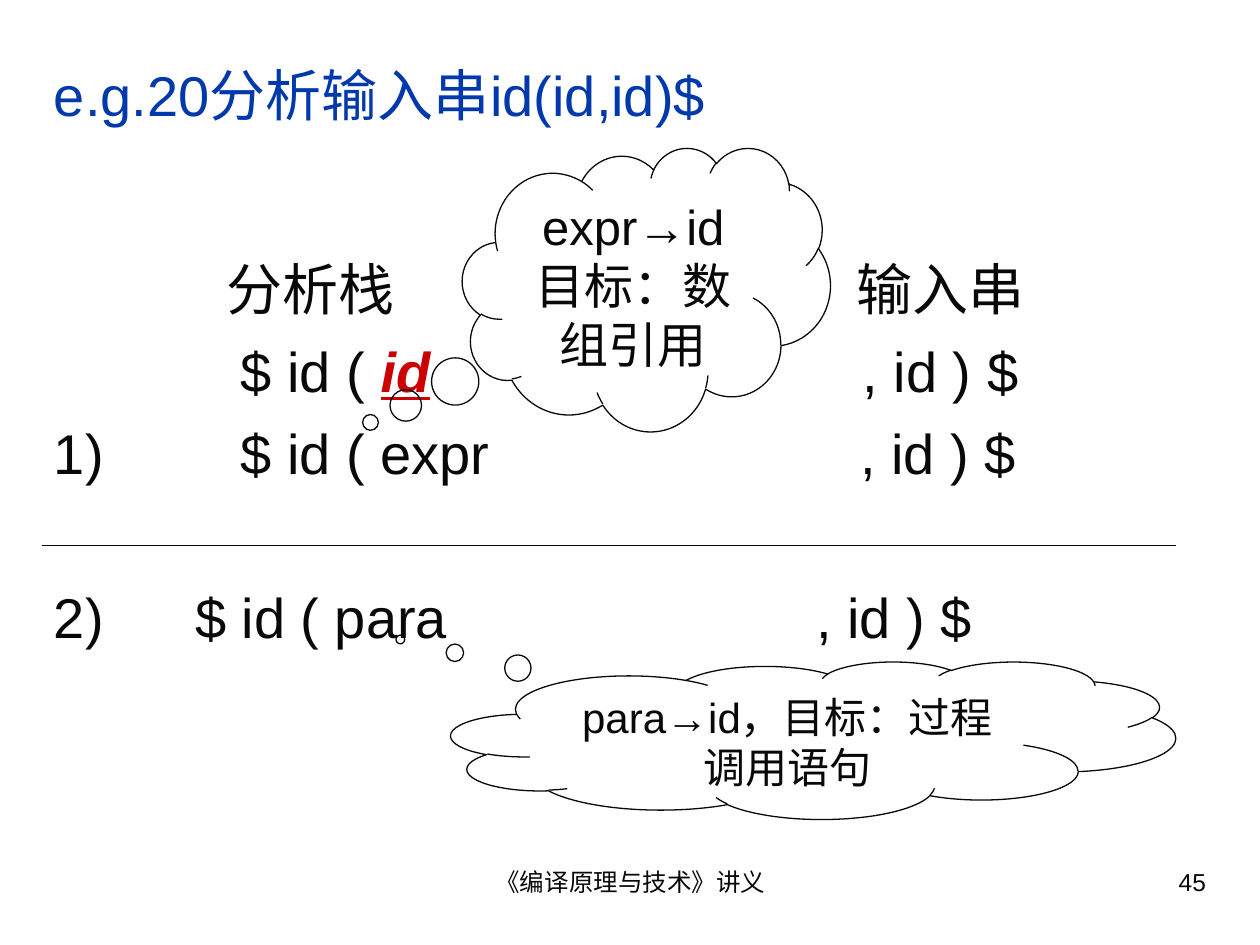
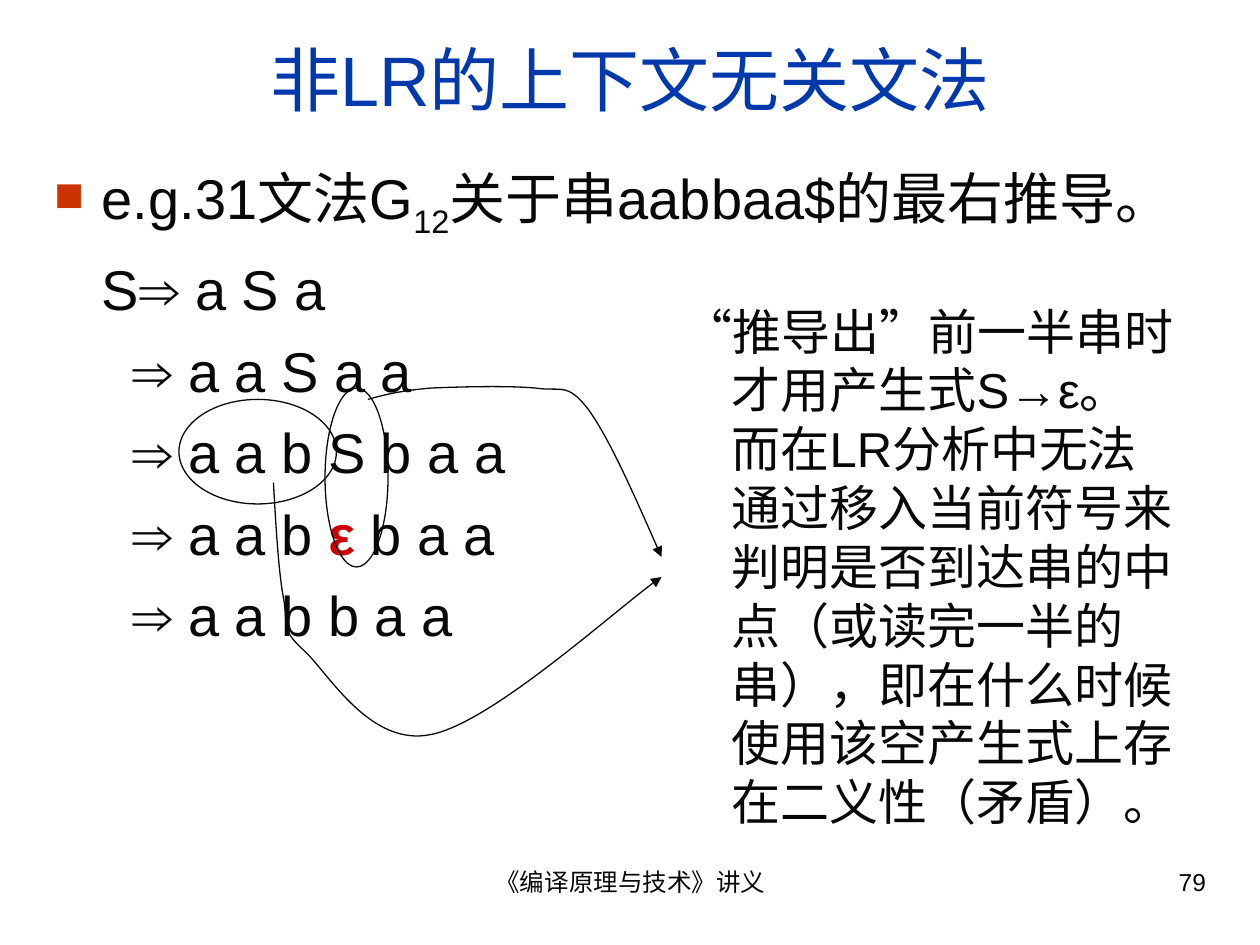
from lxml.etree import SubElement
from pptx import Presentation
from pptx.dml.color import RGBColor
from pptx.enum.shapes import MSO_CONNECTOR, MSO_SHAPE
from pptx.enum.text import MSO_ANCHOR, PP_ALIGN
from pptx.oxml.ns import qn
from pptx.util import Inches, Pt

COLORS = {"title": "0039AC", "ink": "080808", "accent": "CC0000", "bullet": "CC3300"}
FONT = "Arial"
FOOTER = "《编译原理与技术》讲义"
BODY_SIZE, NOTE_SIZE = 32, 28
LINE_PITCH = 38.6
STACK_TOP, ROW_PITCH = 1.97, 0.65

EXAMPLE_TITLE = "e.g.20分析输入串id(id,id)$"
ID = ("id", {"color": "accent", "bold": True, "italic": True, "underline": True})
STACK_ROWS = [
    (0, [(1.7, ["分析栈"]), (6.7, ["输入串"])]),
    (1, [(1.81, ["$ id ( ", ID]), (6.75, [", id ) $"])]),
    (2, [(0.33, ["1)"]), (1.81, ["$ id ( expr"]), (6.73, [", id ) $"])]),
    (4, [(0.33, ["2)"]), (1.45, ["$ id ( para"]), (6.38, [", id ) $"])]),
]
CLOUDS = [
    (["para→id，目标：过程调用语句"], 24, (3.58, 5.25, 5.75, 1.25), (-0.57, -0.64)),
    (["expr→id", "目标：数组引用"], 28, (3.67, 1.17, 2.92, 2.25), (-0.75, 0.47)),
]

GRAMMAR_TITLE = "非LR的上下文无关文法"
GRAMMAR = ["e.g.31文法G", ("12", {"subscript": True}), "关于串aabbaa$的最右推导。"]
EPSILON = ("ε", {"color": "accent", "bold": True})
DERIVATION = [
    (["S⇒ a S a"], 0.38),
    (["⇒ a a S a a"], 0.62),
    (["⇒ a a b S b a a"], 0.62),
    (["⇒ a a b ", EPSILON, " b a a"], 0.62),
    (["⇒ a a b b a a"], 0.62),
]
REMARK = ("“推导出”前一半串时才用产生式S→ε。而在LR分析中无法通过移入当前符号来判明是否到达串的中点"
          "（或读完一半的串），即在什么时候使用该空产生式上存在二义性（矛盾）。")
RINGS = [(2.58, 3.08, 0.5, 1.42), (1.42, 3.17, 1.25, 0.83)]
ARROWS = [
    [(2.17, 3.83), (2.19, 4.18), (2.21, 4.53), (2.25, 4.75), (2.29, 4.97), (2.22, 4.99),
     (2.42, 5.17), (2.61, 5.35), (2.94, 5.93), (3.42, 5.83), (3.89, 5.74), (4.94, 4.79),
     (5.25, 4.58)],
    [(2.92, 3.17), (3.06, 3.13), (3.19, 3.1), (3.42, 3.08), (3.64, 3.07), (4.04, 3.06),
     (4.25, 3.08), (4.46, 3.11), (4.5, 3.03), (4.67, 3.25), (4.83, 3.47), (5.04, 3.94),
     (5.25, 4.42)],
]


def color(key):
    return RGBColor.from_string(COLORS[key])


def add_runs(paragraph, parts, size, base="ink"):
    for part in parts:
        words, style = part if isinstance(part, tuple) else (part, {})
        run = paragraph.add_run()
        run.text = words
        font = run.font
        font.name, font.size = FONT, Pt(size)
        font.color.rgb = color(style.get("color", base))
        font.bold = style.get("bold", False)
        font.italic = style.get("italic", False)
        font.underline = style.get("underline", False)
        if style.get("subscript"):
            run._r.get_or_add_rPr().set("baseline", "-25000")


def set_layout(paragraph, margin=0, indent=0, bullet=None):
    props = paragraph._p.get_or_add_pPr()
    props.set("marL", str(Inches(margin)))
    props.set("indent", str(Inches(indent)))
    if bullet:
        SubElement(SubElement(props, qn("a:buClr")), qn("a:srgbClr"), val=COLORS["bullet"])
        SubElement(props, qn("a:buSzPct"), val="73000")
        SubElement(props, qn("a:buChar"), char=bullet)


def add_box(slide, box, anchor=MSO_ANCHOR.TOP):
    frame = slide.shapes.add_textbox(*map(Inches, box)).text_frame
    frame.word_wrap = True
    frame.vertical_anchor = anchor
    return frame


def add_line_of_text(slide, parts, box, size, base="ink", align=PP_ALIGN.LEFT,
                     anchor=MSO_ANCHOR.TOP):
    paragraph = add_box(slide, box, anchor).paragraphs[0]
    paragraph.alignment = align
    add_runs(paragraph, parts, size, base)
    return paragraph


def new_slide(deck, title, title_box, title_size, title_align, number):
    slide = deck.slides.add_slide(deck.slide_layouts[6])
    add_line_of_text(slide, [FOOTER], (3.42, 6.83, 3.17, 0.52), 14, align=PP_ALIGN.CENTER)
    add_line_of_text(slide, [number], (7.17, 6.83, 2.5, 0.52), 14, align=PP_ALIGN.RIGHT)
    add_line_of_text(slide, [title], title_box, title_size, "title", title_align,
                     MSO_ANCHOR.MIDDLE)
    return slide


def outline(shape):
    shape.shadow.inherit = False
    shape.fill.background()
    shape.line.color.rgb = color("ink")
    shape.line.width = Pt(0.75)


def add_cloud(slide, lines, size, box, tip):
    cloud = slide.shapes.add_shape(MSO_SHAPE.CLOUD_CALLOUT, *map(Inches, box))
    outline(cloud)
    cloud.adjustments[0], cloud.adjustments[1] = tip
    frame = cloud.text_frame
    frame.word_wrap = True
    frame.vertical_anchor = MSO_ANCHOR.TOP
    paragraph = frame.paragraphs[0]
    paragraph.alignment = PP_ALIGN.CENTER
    for index, words in enumerate(lines):
        if index:
            paragraph.add_line_break()
        add_runs(paragraph, [words], size)


def add_curved_arrow(slide, knots):
    start, *others = [tuple(map(Inches, knot)) for knot in knots]
    builder = slide.shapes.build_freeform(*start)
    builder.add_line_segments(others, close=False)
    arrow = builder.convert_to_shape()
    outline(arrow)
    SubElement(arrow.line._get_or_add_ln(), qn("a:tailEnd"), type="triangle")
    segments = list(arrow._element.iter(qn("a:lnTo")))
    route = segments[0].getparent()
    for first in range(0, len(segments), 3):
        curve = SubElement(route, qn("a:cubicBezTo"))
        for segment in segments[first:first + 3]:
            curve.append(segment[0])
            route.remove(segment)


def build_example(deck):
    slide = new_slide(deck, EXAMPLE_TITLE, (0.33, 0.41, 9.34, 0.67), 32, PP_ALIGN.LEFT, "45")
    for row, cells in STACK_ROWS:
        for left, parts in cells:
            cell = add_line_of_text(
                slide, parts, (left, STACK_TOP + row * ROW_PITCH, 2.9, ROW_PITCH), BODY_SIZE)
            cell.line_spacing = Pt(LINE_PITCH)
    divider = slide.shapes.add_connector(
        MSO_CONNECTOR.STRAIGHT, *map(Inches, (0.33, 4.33, 9.33, 4.33)))
    divider.line.color.rgb = color("ink")
    divider.line.width = Pt(0.75)
    SubElement(divider._element.spPr, qn("a:effectLst"))
    for cloud in CLOUDS:
        add_cloud(slide, *cloud)


def build_grammar(deck):
    slide = new_slide(deck, GRAMMAR_TITLE, (0.33, 0.25, 9.34, 0.75), 40, PP_ALIGN.CENTER, "79")
    frame = add_box(slide, (0.33, 1.25, 9, 5.42))
    grammar = frame.paragraphs[0]
    set_layout(grammar, 0.38, -0.38, bullet="■")
    add_runs(grammar, GRAMMAR, BODY_SIZE)
    for parts, margin in DERIVATION:
        step = frame.add_paragraph()
        step.line_spacing = Pt(LINE_PITCH)
        step.space_before = Pt(8)
        set_layout(step, margin)
        add_runs(step, parts, BODY_SIZE)
    for box in RINGS:
        outline(slide.shapes.add_shape(MSO_SHAPE.OVAL, *map(Inches, box)))
    for knots in ARROWS:
        add_curved_arrow(slide, knots)
    remark = add_line_of_text(slide, [REMARK], (5.33, 2.34, 4.08, 4.31), NOTE_SIZE)
    set_layout(remark, 0.38, -0.38)


def main():
    deck = Presentation()
    deck.slide_width, deck.slide_height = Inches(10), Inches(7.5)
    build_example(deck)
    build_grammar(deck)
    deck.save("out.pptx")


if __name__ == "__main__":
    main()
